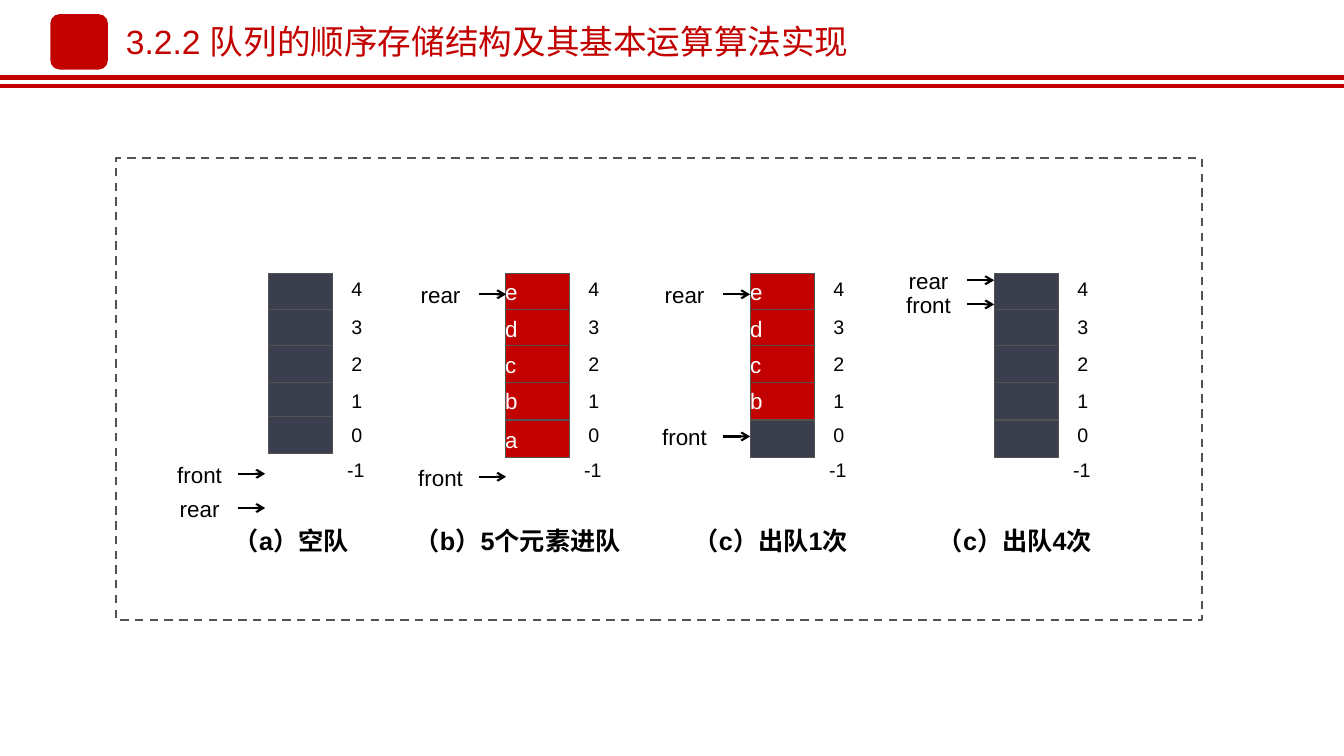
from lxml.etree import SubElement
from pptx import Presentation
from pptx.dml.color import RGBColor
from pptx.enum.dml import MSO_LINE
from pptx.enum.shapes import MSO_CONNECTOR, MSO_SHAPE
from pptx.enum.text import MSO_ANCHOR, PP_ALIGN
from pptx.oxml.ns import qn
from pptx.util import Inches, Pt

COLORS = {"red": "C30000", "slate": "3B3E4D", "gray": "525252",
          "black": "000000", "white": "FFFFFF"}
FONT = "Arial"
SLIDE_WIDTH, SLIDE_HEIGHT = 13.33, 7.5

TITLE = "3.2.2 队列的顺序存储结构及其基本运算算法实现"
INDEXES = ["4", "3", "2", "1", "0", "-1"]
# Cells run from index 4 down to 0; a blank marks an empty cell.
# Pointers give the arrow height of each name.
QUEUES = [
    {"left": 2.66, "tip": 2.63, "cells": ["", "", "", "", ""], "bottom_cell": 4.13,
     "pointers": {"front": 4.7, "rear": 5.04},
     "caption": "（a）空队", "caption_left": 2.2, "caption_width": 1.38},
    {"left": 5.01, "tip": 5.02, "cells": ["e", "d", "c", "b", "a"], "bottom_cell": 4.17,
     "pointers": {"rear": 2.92, "front": 4.73},
     "caption": "（b）5个元素进队", "caption_left": 4.07, "caption_width": 2.13},
    {"left": 7.44, "tip": 7.44, "cells": ["e", "d", "c", "b", ""], "bottom_cell": 4.17,
     "pointers": {"rear": 2.92, "front": 4.33},
     "caption": "（c）出队1次", "caption_left": 6.82, "caption_width": 1.65},
    {"left": 9.86, "tip": 9.86, "cells": ["", "", "", "", ""], "bottom_cell": 4.17,
     "pointers": {"rear": 2.78, "front": 3.02},
     "caption": "（c）出队4次", "caption_left": 9.24, "caption_width": 1.65},
]
CELL_TOP, CELL_PITCH, CELL_WIDTH, CELL_HEIGHT = 2.71, 0.36, 0.64, 0.37
INDEX_TOPS = [2.75, 3.12, 3.49, 3.86, 4.2, 4.54]
INDEX_GAP, INDEX_WIDTH, INDEX_HEIGHT = 0.73, 0.3, 0.27
POINTER_WIDTH, ARROW_LENGTH, LABEL_HEIGHT = 0.86, 0.27, 0.3
CAPTION_TOP = 5.21


def rgb(name):
    return RGBColor.from_string(COLORS[name])


def write(shape, text, size, color="black", bold=False, align=PP_ALIGN.CENTER,
          anchor=MSO_ANCHOR.TOP, inset=0, line_spacing=None):
    frame = shape.text_frame
    frame.word_wrap = True
    frame.vertical_anchor = anchor
    frame.margin_left = frame.margin_right = Inches(inset)
    frame.margin_top = frame.margin_bottom = Inches(inset / 2)
    paragraph = frame.paragraphs[0]
    paragraph.alignment = align
    if line_spacing:
        paragraph.line_spacing = Pt(line_spacing)
    run = paragraph.add_run()
    run.text = text
    run.font.name = FONT
    run.font.size = Pt(size)
    run.font.bold = bold
    run.font.color.rgb = rgb(color)


def add_box(slide, left, top, width, height, fill=None, line=None, weight=0.5,
            kind=MSO_SHAPE.RECTANGLE):
    shape = slide.shapes.add_shape(
        kind, Inches(left), Inches(top), Inches(width), Inches(height))
    shape.shadow.inherit = False
    if fill:
        shape.fill.solid()
        shape.fill.fore_color.rgb = rgb(fill)
    else:
        shape.fill.background()
    if line:
        shape.line.color.rgb = rgb(line)
        shape.line.width = Pt(weight)
    else:
        shape.line.fill.background()
    return shape


def add_line(slide, start, end, color, weight, arrow=False):
    connector = slide.shapes.add_connector(
        MSO_CONNECTOR.STRAIGHT, *(Inches(value) for value in (*start, *end)))
    connector.line.color.rgb = rgb(color)
    connector.line.width = Pt(weight)
    if arrow:
        SubElement(connector.line._get_or_add_ln(), qn("a:tailEnd"), type="arrow")
    SubElement(connector._element.spPr, qn("a:effectLst"))


def add_label(slide, left, top, width, height, text, size, bold=False):
    label = add_box(slide, left, top, width, height, fill="white")
    write(label, text, size, bold=bold)


def add_header(slide):
    for y in (0.77, 0.85):
        add_line(slide, (0, y), (SLIDE_WIDTH, y), "red", 3)
    add_box(slide, 0.5, 0.14, 0.57, 0.55, fill="red", kind=MSO_SHAPE.ROUNDED_RECTANGLE)
    title = slide.shapes.add_textbox(Inches(1.15), Inches(0.16), Inches(7.61), Inches(0.5))
    write(title, TITLE, 24, color="red", align=PP_ALIGN.LEFT,
          anchor=MSO_ANCHOR.MIDDLE, inset=0.1)


def add_queue(slide, queue):
    left, tip = queue["left"], queue["tip"]
    cell_tops = [CELL_TOP + row * CELL_PITCH for row in range(4)] + [queue["bottom_cell"]]
    for top, element in zip(cell_tops, queue["cells"]):
        cell = add_box(slide, left, top, CELL_WIDTH, CELL_HEIGHT,
                       fill="red" if element else "slate", line="gray")
        if element:
            write(cell, element, 16, color="white", align=PP_ALIGN.LEFT, line_spacing=23)
    for top, index in zip(INDEX_TOPS, INDEXES):
        shift = 0.01 if index == "-1" else 0
        add_label(slide, left + INDEX_GAP - shift, top, INDEX_WIDTH, INDEX_HEIGHT, index, 14)
    for name, y in queue["pointers"].items():
        add_label(slide, tip - 4 * ARROW_LENGTH, y - 0.13, POINTER_WIDTH, LABEL_HEIGHT, name, 16)
        add_line(slide, (tip - ARROW_LENGTH, y), (tip, y), "black", 1.5, arrow=True)
    add_label(slide, queue["caption_left"], CAPTION_TOP, queue["caption_width"],
              LABEL_HEIGHT, queue["caption"], 18, bold=True)


def main():
    presentation = Presentation()
    presentation.slide_width = Inches(SLIDE_WIDTH)
    presentation.slide_height = Inches(SLIDE_HEIGHT)
    slide = presentation.slides.add_slide(presentation.slide_layouts[6])
    add_header(slide)
    for queue in QUEUES:
        add_queue(slide, queue)
    frame = add_box(slide, 1.15, 1.57, 10.77, 4.58, line="gray", weight=1.5)
    frame.line.dash_style = MSO_LINE.DASH
    presentation.save("out.pptx")


if __name__ == "__main__":
    main()
